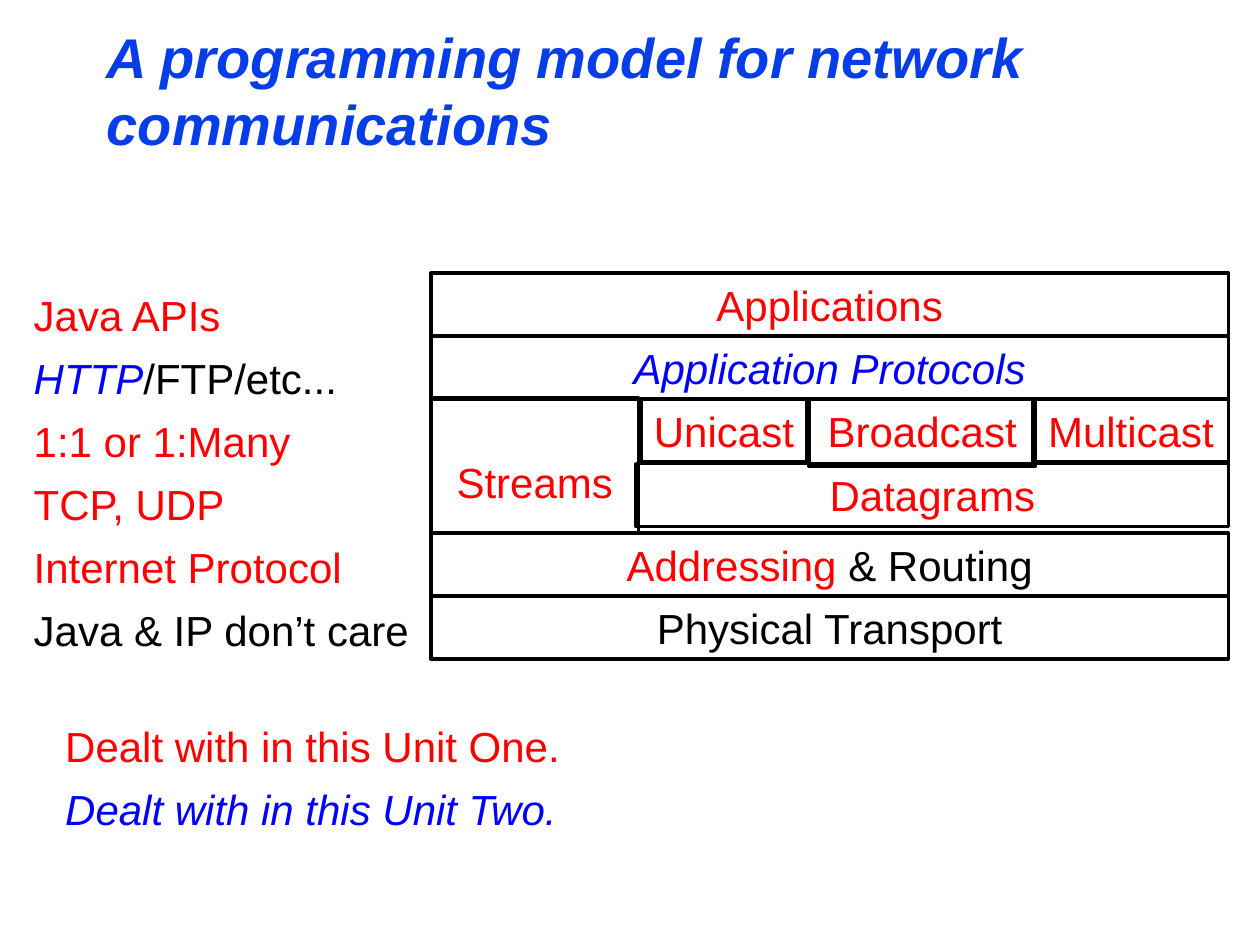
"""Build a slide that shows the layers of a network programming model."""
from pptx import Presentation
from pptx.dml.color import RGBColor
from pptx.enum.shapes import MSO_SHAPE
from pptx.enum.text import MSO_ANCHOR, PP_ALIGN
from pptx.util import Pt

COLORS = {
    "title": "063DE8",
    "unit_one": "FF0000",
    "unit_two": "0000FF",
    "plain": "000000",
    "white": "FFFFFF",
}
FONT = "Arial"
ROW = 36
STACK_LEFT, STACK_WIDTH, STACK_TOP = 246.2, 455.8, 156
LOWER_TOP = 304.6

LABELS = [
    [("Java APIs", "unit_one")],
    [("HTTP", "unit_two"), ("/FTP/etc...", "plain")],
    [("1:1 or 1:Many", "unit_one")],
    [("TCP, UDP", "unit_one")],
    [("Internet Protocol", "unit_one")],
    [("Java & IP don’t care", "plain")],
]
LEGEND = [
    [("Dealt with in this Unit One.", "unit_one")],
    [("Dealt with in this Unit Two.", "unit_two")],
]
FULL_ROWS = [
    (STACK_TOP, [("Applications", "unit_one")]),
    (STACK_TOP + ROW, [("Application Protocols", "unit_two")]),
    (LOWER_TOP, [("Addressing", "unit_one"), (" & Routing", "plain")]),
    (LOWER_TOP + ROW, [("Physical Transport", "plain")]),
]
TRANSPORT_BOXES = [
    ("Streams", STACK_LEFT, 227.5, 118.8, 93.6, MSO_ANCHOR.MIDDLE),
    ("Datagrams", 363.6, 265, 338.4, ROW, MSO_ANCHOR.TOP),
    ("Unicast", 366.5, 228.2, 94.3, ROW, MSO_ANCHOR.TOP),
    ("Broadcast", 462.2, 228.2, 129.6, 38.2, MSO_ANCHOR.TOP),
    ("Multicast", 590.4, 228.2, 111.6, ROW, MSO_ANCHOR.TOP),
]


def write_runs(paragraph, runs, size=24):
    """Write coloured runs, with unit two topics in italics."""
    paragraph.font.name = FONT
    paragraph.font.size = Pt(size)
    for text, color in runs:
        run = paragraph.add_run()
        run.text = text
        run.font.color.rgb = RGBColor.from_string(COLORS[color])
        run.font.italic = color in ("unit_two", "title")


def add_text(slide, left, top, width, height, runs, size=24, wrap=False):
    """Add a text box and return its text frame."""
    text_box = slide.shapes.add_textbox(Pt(left), Pt(top), Pt(width), Pt(height))
    frame = text_box.text_frame
    frame.word_wrap = wrap
    write_runs(frame.paragraphs[0], runs, size)
    return frame


def add_title(slide, text):
    """Add the slide title."""
    frame = add_text(slide, 54, 24, 612, 54, [(text, "title")], 32, True)
    frame.vertical_anchor = MSO_ANCHOR.MIDDLE
    frame.paragraphs[0].font.bold = True


def add_lines(slide, left, top, width, lines):
    """Add text lines one below the other, a row apart."""
    for index, runs in enumerate(lines):
        add_text(slide, left, top + index * ROW, width, ROW, runs)


def add_layer(slide, left, top, width, height, runs, anchor=MSO_ANCHOR.TOP, fill=None):
    """Add an outlined box for one layer of the model."""
    shape = slide.shapes.add_shape(
        MSO_SHAPE.RECTANGLE, Pt(left), Pt(top), Pt(width), Pt(height))
    shape.shadow.inherit = False
    if fill:
        shape.fill.solid()
        shape.fill.fore_color.rgb = RGBColor.from_string(COLORS[fill])
    else:
        shape.fill.background()
    shape.line.color.rgb = RGBColor.from_string(COLORS["plain"])
    shape.line.width = Pt(2)
    frame = shape.text_frame
    frame.word_wrap = True
    frame.vertical_anchor = anchor
    paragraph = frame.paragraphs[0]
    paragraph.alignment = PP_ALIGN.CENTER
    if anchor == MSO_ANCHOR.MIDDLE:
        frame.margin_top = Pt(6)
    write_runs(paragraph, runs)


def add_stack(slide):
    """Add the layer diagram, with the full rows over the transport boxes."""
    for name, left, top, width, height, anchor in TRANSPORT_BOXES:
        add_layer(slide, left, top, width, height, [(name, "unit_one")], anchor)
    for top, runs in FULL_ROWS:
        fill = "white" if top == LOWER_TOP else None
        add_layer(slide, STACK_LEFT, top, STACK_WIDTH, ROW, runs, fill=fill)


def main():
    """Build and save the presentation."""
    presentation = Presentation()
    presentation.slide_width = Pt(720)
    presentation.slide_height = Pt(540)
    slide = presentation.slides.add_slide(presentation.slide_layouts[6])
    add_title(slide, "A programming model for network communications")
    add_lines(slide, 12.2, 162, 229, LABELS)
    add_stack(slide)
    add_lines(slide, 30.2, 408.2, 297, LEGEND)
    presentation.save("out.pptx")


if __name__ == "__main__":
    main()
